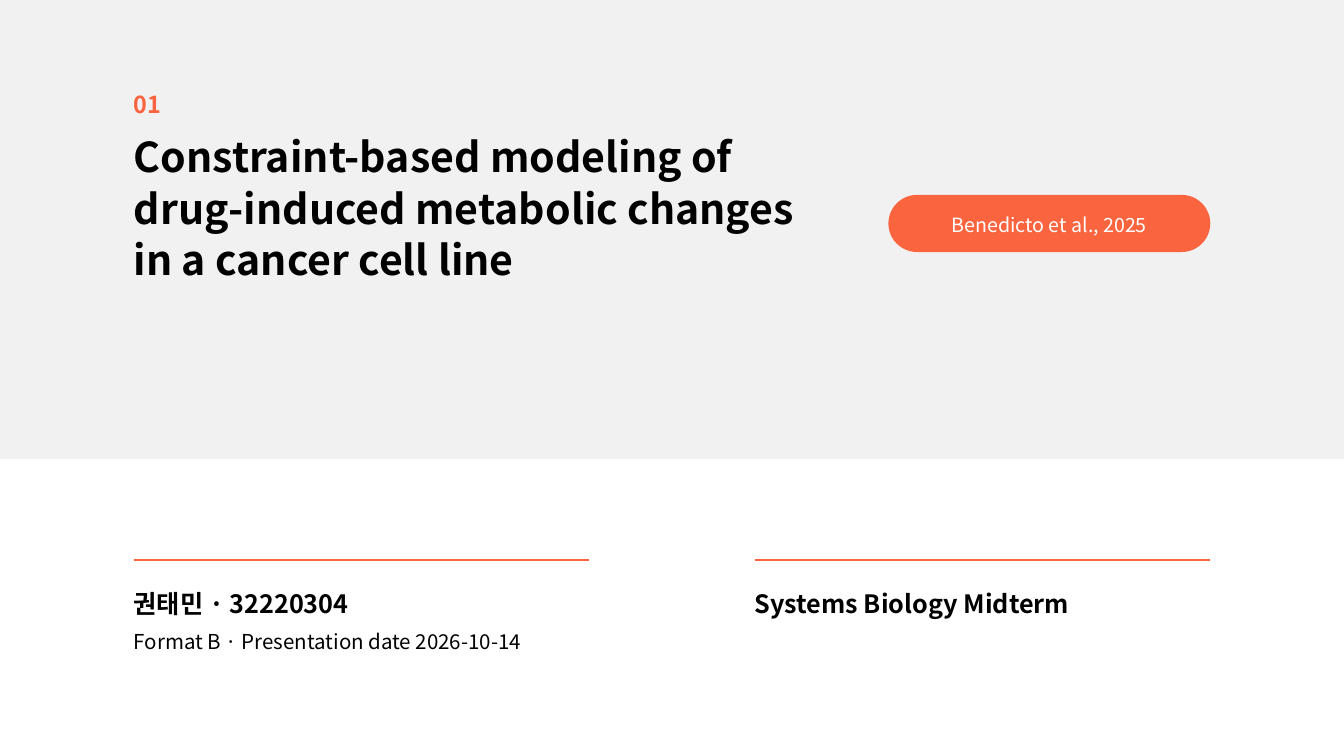
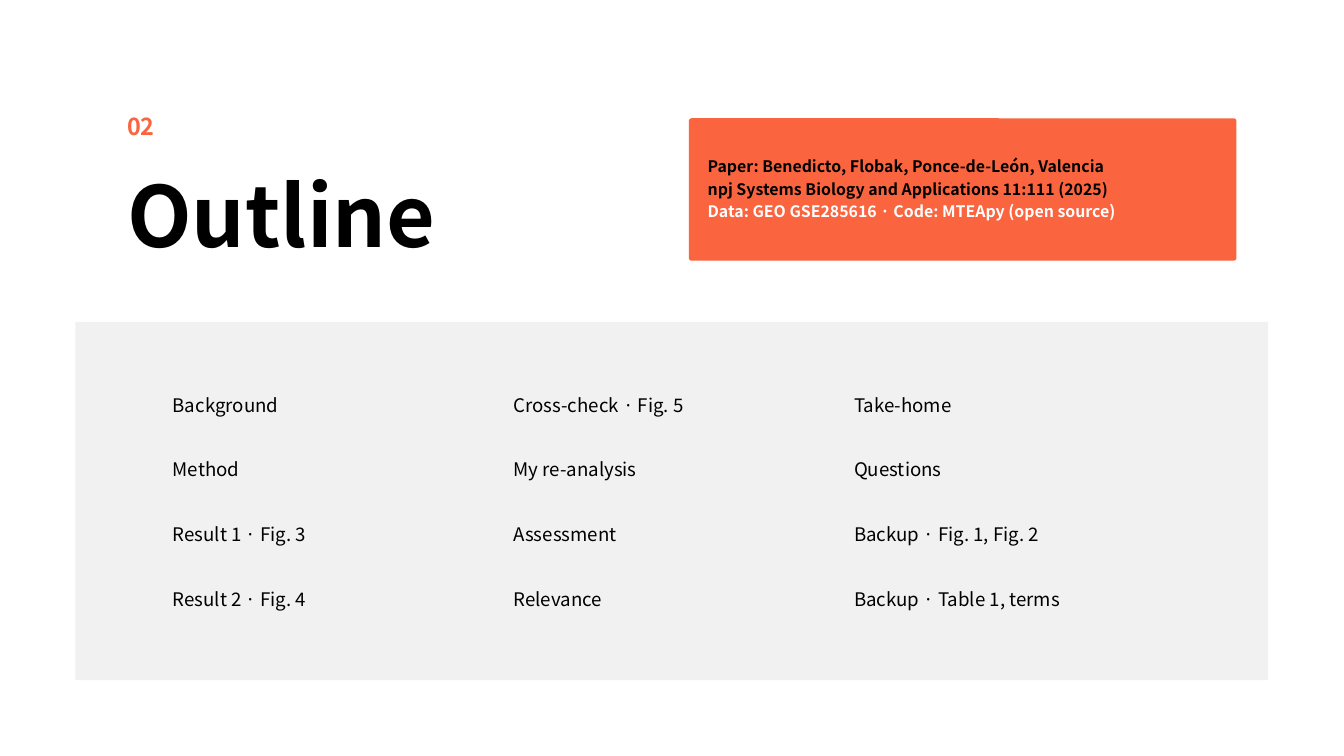
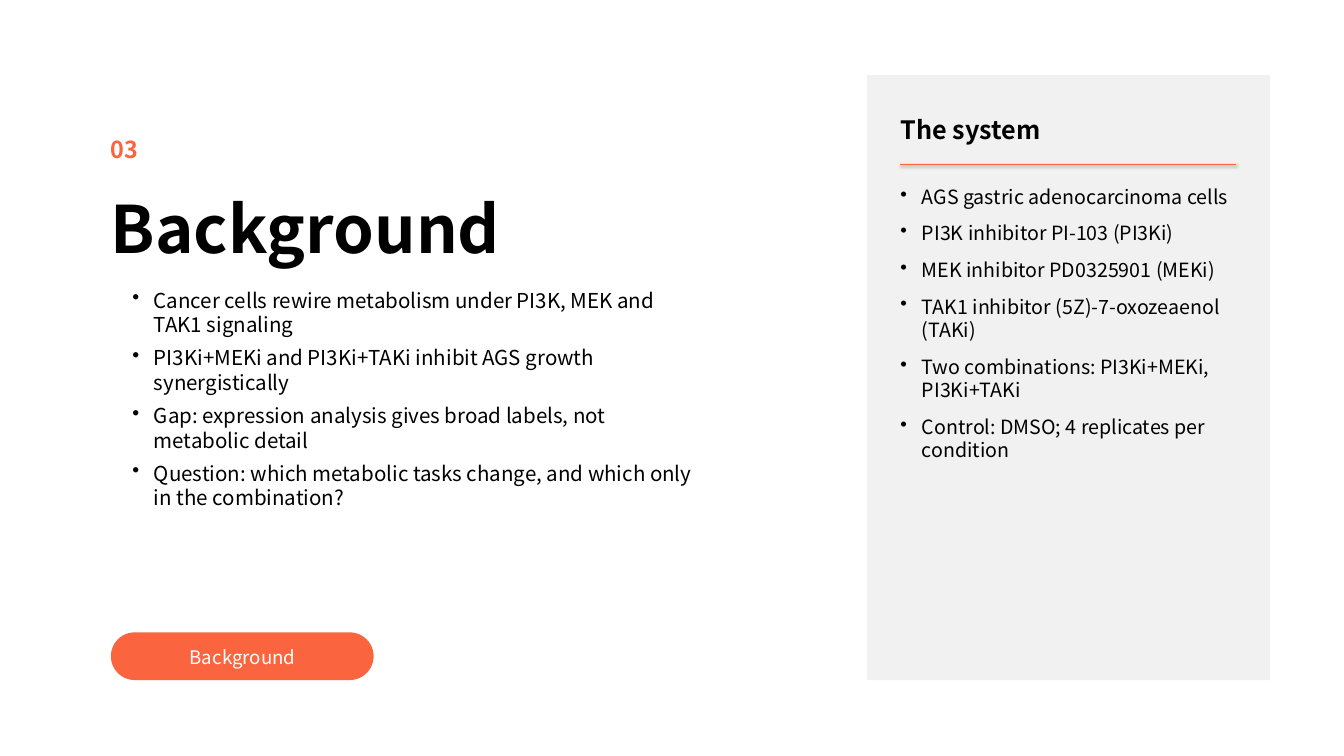
"""Build the cover, outline and background slides of a systems biology talk."""
import dataclasses

import lxml.etree
import pptx
import pptx.dml.color
import pptx.enum.shapes
import pptx.enum.text
import pptx.oxml.ns
import pptx.util

Inches, Pt = pptx.util.Inches, pptx.util.Pt
qn = pptx.oxml.ns.qn
Kind = pptx.enum.shapes.MSO_SHAPE
Align = pptx.enum.text.PP_ALIGN
Fit = pptx.enum.text.MSO_AUTO_SIZE


@dataclasses.dataclass(frozen=True)
class Theme:
    face: str = "Noto Sans CJK KR"
    ink: str = "000000"
    white: str = "FFFFFF"
    gray: str = "F1F1F1"
    coral: str = "FA643F"
    huge: int = 90
    large: int = 70
    title: int = 44
    head: int = 27
    mark: int = 25
    text: int = 22
    side: int = 21
    small: int = 20
    note: int = 17


look = Theme()


def label(slide, lines, left, top, width, height, size=look.small, color=look.ink, bold=False,
          align=None, lead=1.4, fixed=True, after=None, bullet=None, level=0, inset=0, grow=True):
    box = slide.shapes.add_textbox(Inches(left), Inches(top), Inches(width), Inches(height))
    frame = box.text_frame
    frame.word_wrap = True
    frame.auto_size = Fit.SHAPE_TO_FIT_TEXT if grow else Fit.NONE
    frame.margin_left = frame.margin_right = Inches(inset)
    frame.margin_top = frame.margin_bottom = Inches(inset)
    for i, line in enumerate(lines if isinstance(lines, list) else [lines]):
        para = frame.paragraphs[0] if i == 0 else frame.add_paragraph()
        if bullet is not None:
            props = para._p.get_or_add_pPr()
            props.set("marL", str(Inches(bullet)))
            props.set("indent", str(Inches(-0.32)))
            lxml.etree.SubElement(props, qn("a:buChar"), char="•")
        para.level = level
        para.alignment = align
        para.line_spacing = Pt(size * lead) if fixed else lead
        if after:
            para.space_after = Pt(after)
        run = para.add_run()
        run.text = line
        font = run.font
        font.name, font.size, font.bold = look.face, Pt(size), bold
        font.color.rgb = pptx.dml.color.RGBColor.from_string(color)
        lxml.etree.SubElement(run._r.get_or_add_rPr(), qn("a:ea"), typeface=look.face)
    return frame


def block(slide, kind, left, top, width, height, color, curve=None):
    shape = slide.shapes.add_shape(kind, Inches(left), Inches(top), Inches(width), Inches(height))
    shape.shadow.inherit = False
    shape.fill.solid()
    shape.fill.fore_color.rgb = pptx.dml.color.RGBColor.from_string(color)
    shape.line.fill.background()
    if curve is not None:
        shape.adjustments[0] = curve


deck = pptx.Presentation()
deck.slide_width, deck.slide_height = Inches(20), Inches(11.25)
cover, plan, intro = [deck.slides.add_slide(deck.slide_layouts[6]) for _ in range(3)]

block(cover, Kind.RECTANGLE, 0, 0, 20, 6.83, look.gray)
block(cover, Kind.ROUNDED_RECTANGLE, 13.22, 2.9, 4.79, 0.85, look.coral, 0.5)
label(cover, "Benedicto et al., 2025", 13.66, 3.11, 3.91, 0.39,
      size=look.side, color=look.white, align=Align.CENTER)
label(cover, "Constraint-based modeling of drug-induced metabolic changes in a cancer cell line",
      1.99, 1.92, 10.4, 3.74, size=look.title, bold=True, lead=1.05, fixed=False)
for left, text in [(1.99, "권태민 · 32220304"), (11.23, "Systems Biology Midterm")]:
    label(cover, text, left, 8.68, 6.78, 0.49, size=look.head, bold=True)
label(cover, "Format B · Presentation date 2026-10-14", 1.99, 9.3, 6.78, 0.4, size=look.text)

block(plan, Kind.RECTANGLE, 1.12, 4.79, 17.75, 5.33, look.gray)
block(plan, Kind.ROUNDED_RECTANGLE, 10.25, 1.76, 8.15, 2.12, look.coral, 0.02)
paper = label(plan, ["Paper: Benedicto, Flobak, Ponce-de-León, Valencia",
                     "npj Systems Biology and Applications 11:111 (2025)",
                     "Data: GEO GSE285616 · Code: MTEApy (open source)"],
              10.25, 1.69, 8.15, 2.19, size=look.note, bold=True, inset=0.28, grow=False)
paper.vertical_anchor = pptx.enum.text.MSO_ANCHOR.MIDDLE
data = paper.paragraphs[2].runs[0]
data.font.color.rgb = pptx.dml.color.RGBColor.from_string(look.white)
label(plan, "Outline", 1.89, 2.44, 6.78, 1.52, size=look.huge, bold=True, lead=1.2)
topics = [
    ["Background", "Method", "Result 1 · Fig. 3", "Result 2 · Fig. 4"],
    ["Cross-check · Fig. 5", "My re-analysis", "Assessment", "Relevance"],
    ["Take-home", "Questions", "Backup · Fig. 1, Fig. 2", "Backup · Table 1, terms"],
]
for col, names in enumerate(topics):
    for row, name in enumerate(names):
        label(plan, name, 2.57 + 5.07 * col, 5.8 + 0.963 * row, 4.6, 0.38)

block(intro, Kind.ROUNDED_RECTANGLE, 1.65, 9.41, 3.91, 0.71, look.coral, 0.5)
label(intro, "Background", 2.01, 9.56, 3.2, 0.37, color=look.white, align=Align.CENTER)
label(intro, "Background", 1.65, 2.8, 8.65, 1.16, size=look.large, bold=True, lead=1.2)
label(intro, ["Cancer cells rewire metabolism under PI3K, MEK and TAK1 signaling",
              "PI3Ki+MEKi and PI3Ki+TAKi inhibit AGS growth synergistically",
              "Gap: expression analysis gives broad labels, not metabolic detail",
              "Question: which metabolic tasks change, and which only in the combination?"],
      1.65, 4.28, 8.65, 1.94, size=look.text, lead=1.0, fixed=False, after=9, bullet=0.64, level=1)
block(intro, Kind.RECTANGLE, 12.9, 1.12, 6, 9, look.gray)
label(intro, "The system", 13.4, 1.7, 5, 0.6, size=look.head, bold=True, lead=1.0, fixed=False)
label(intro, ["AGS gastric adenocarcinoma cells",
              "PI3K inhibitor PI-103 (PI3Ki)",
              "MEK inhibitor PD0325901 (MEKi)",
              "TAK1 inhibitor (5Z)-7-oxozeaenol (TAKi)",
              "Two combinations: PI3Ki+MEKi, PI3Ki+TAKi",
              "Control: DMSO; 4 replicates per condition"],
      13.4, 2.75, 5, 6, size=look.side, lead=1.0, fixed=False, after=14, bullet=0.32)

marks = [(cover, 1.99, 1.37), (plan, 1.89, 1.7), (intro, 1.65, 2.04)]
for num, (slide, left, top) in enumerate(marks, 1):
    label(slide, f"{num:02}", left, top, 0.62, 0.4,
          size=look.mark, color=look.coral, bold=True, lead=1.1)

rules = [(cover, 1.99, 8.34, 6.78, 2, False), (cover, 11.23, 8.34, 6.78, 2, False),
         (intro, 13.4, 2.45, 5, 1.5, True)]
for slide, left, top, width, weight, shade in rules:
    rule = slide.shapes.add_connector(pptx.enum.shapes.MSO_CONNECTOR.STRAIGHT, Inches(left),
                                      Inches(top), Inches(left + width), Inches(top))
    rule.line.color.rgb = pptx.dml.color.RGBColor.from_string(look.coral)
    rule.line.width = Pt(weight)
    if not shade:
        lxml.etree.SubElement(rule._element.spPr, qn("a:effectLst"))

deck.save("out.pptx")
